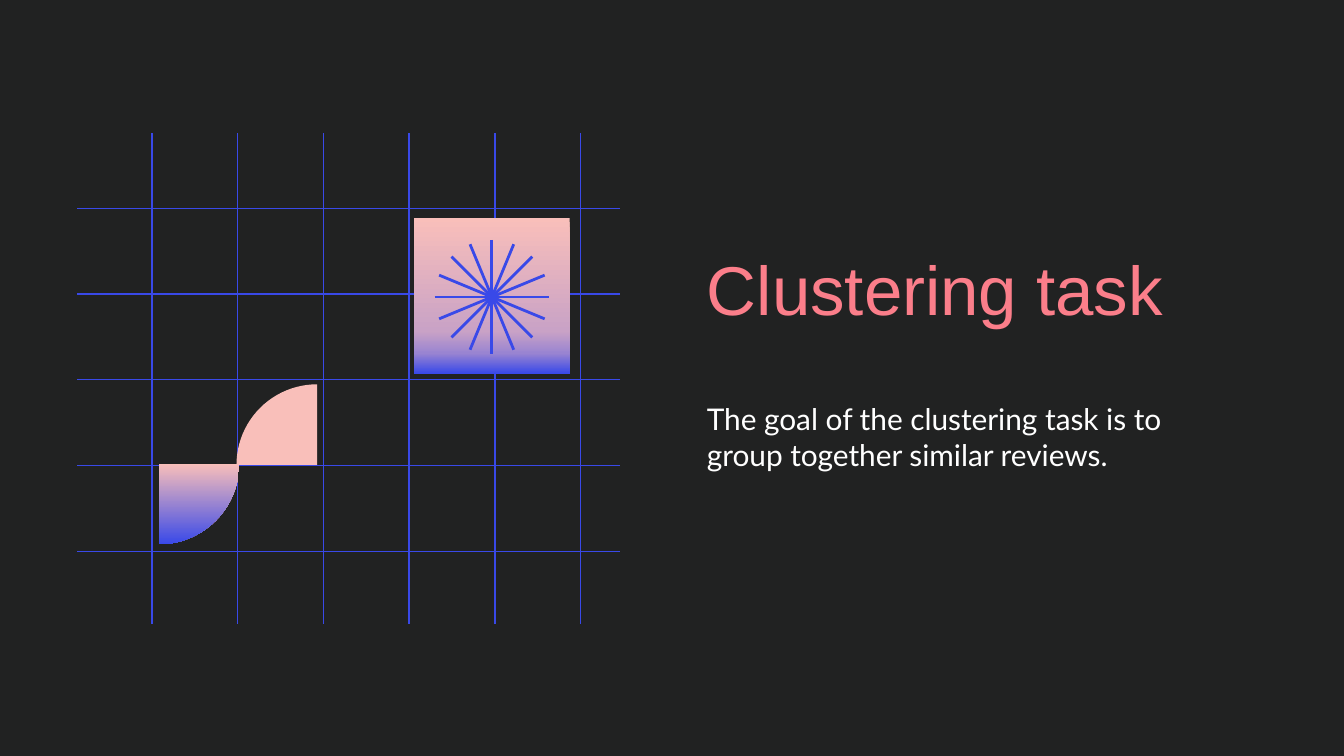
"""Builds the clustering task slide: a grid drawing beside a title and a line of text."""
import math
from lxml import etree
from pptx import Presentation
from pptx import util as u
from pptx.dml.color import RGBColor
from pptx.enum import shapes, text
from pptx.oxml.ns import qn

BLUE, PINK, DARK = "3949E8", "F9BFBA", "212222"
TEXTS = [
    ("Clustering task", (516, 146, 376, 137), "Arial", 37, "FB7E8A", text.MSO_ANCHOR.MIDDLE),
    ("The goal of the clustering task is to group together similar reviews.",
     (516, 288, 376, 168), "Lato", 16, "FFFFFF", text.MSO_ANCHOR.TOP),
]
GRID = {"left": 57, "right": 461, "top": 99, "bottom": 464,
        "x": 113, "y": 155, "step": 63.8, "cols": 6, "rows": 5}
WEDGE, RECT = shapes.MSO_SHAPE.PIE_WEDGE, shapes.MSO_SHAPE.RECTANGLE
FORMS = [
    (WEDGE, (176, 286, 60, 60), 0, [(0, PINK)]),
    (WEDGE, (118, 345, 60, 60), 180, [(0, PINK), (100, BLUE)]),
    (RECT, (308, 162, 116, 116), 0, [(0, PINK), (73, "C9A2C6"), (87, "9984D1"), (100, BLUE)]),
]
STAR = {"x": 366, "y": 221, "radius": 42.5, "rays": 8}


def px(n):
    return u.Emu(round(n * 9144))


def rgb(code):
    return RGBColor.from_string(code)


def line(slide, ends, width):
    item = slide.shapes.add_connector(shapes.MSO_CONNECTOR.STRAIGHT, *map(px, ends))
    item.line.color.rgb = rgb(BLUE)
    item.line.width = u.Pt(width)
    etree.SubElement(item._element.spPr, qn("a:effectLst"))


def form(slide, kind, box, turn, stops):
    item = slide.shapes.add_shape(kind, *map(px, box))
    item.shadow.inherit = False
    item.line.fill.background()
    item.rotation = turn
    if len(stops) == 1:
        item.fill.solid()
        item.fill.fore_color.rgb = rgb(stops[0][1])
        return
    item.fill.gradient()
    item.fill.gradient_angle = (270 + turn) % 360
    group = item._element.spPr.find(".//" + qn("a:gsLst"))
    for old in list(group):
        group.remove(old)
    for spot, code in stops:
        stop = etree.SubElement(group, qn("a:gs"), pos=str(spot * 1000))
        etree.SubElement(stop, qn("a:srgbClr"), val=code)


def write(holder, words, box, font, size, code, anchor):
    holder.left, holder.top, holder.width, holder.height = map(px, box)
    frame = holder.text_frame
    frame.text = words
    frame.word_wrap = True
    frame.auto_size = text.MSO_AUTO_SIZE.NONE
    frame.vertical_anchor = anchor
    frame.margin_left = frame.margin_right = px(10)
    frame.margin_top = frame.margin_bottom = px(10)
    para = frame.paragraphs[0]
    para.alignment = text.PP_ALIGN.LEFT
    para.space_before = u.Pt(0)
    para.font.name, para.font.size = font, u.Pt(size)
    para.font.color.rgb = rgb(code)


def main():
    deck = Presentation()
    deck.slide_width, deck.slide_height = px(1000), px(562.5)
    slide = deck.slides.add_slide(deck.slide_layouts[0])
    slide.background.fill.solid()
    slide.background.fill.fore_color.rgb = rgb(DARK)
    for holder, spec in zip(slide.placeholders, TEXTS):
        write(holder, *spec)

    for col in range(GRID["cols"]):
        x = GRID["x"] + col * GRID["step"]
        line(slide, (x, GRID["top"], x, GRID["bottom"]), 0.75)
    for row in range(GRID["rows"]):
        y = GRID["y"] + row * GRID["step"]
        line(slide, (GRID["right"], y, GRID["left"], y), 0.75)

    for item in FORMS:
        form(slide, *item)

    for ray in range(STAR["rays"]):
        angle = math.pi * ray / STAR["rays"]
        dx, dy = STAR["radius"] * math.cos(angle), STAR["radius"] * math.sin(angle)
        x, y = STAR["x"], STAR["y"]
        line(slide, (x - dx, y - dy, x + dx, y + dy), 1.5)

    deck.save("out.pptx")


if __name__ == "__main__":
    main()
